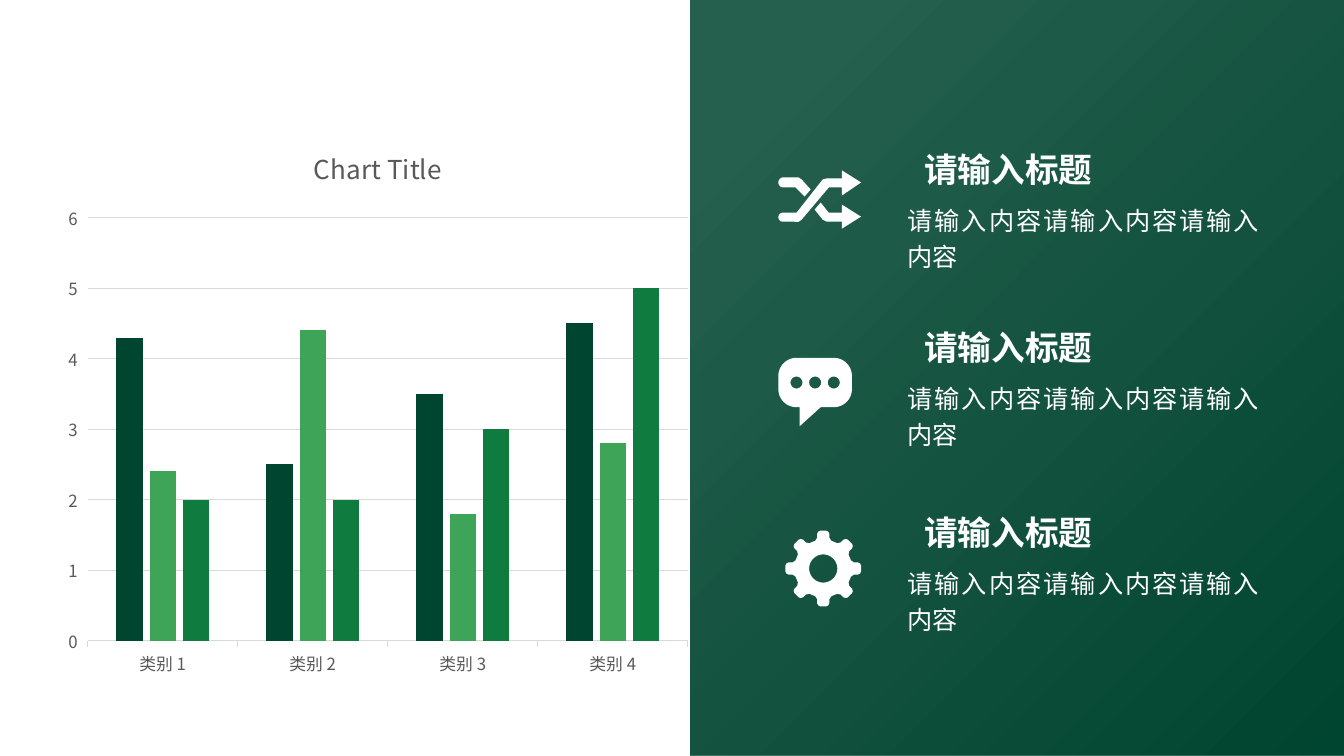
"""Build a slide with a clustered column chart beside a green panel of three points."""
from math import cos, radians, sin

from lxml.etree import SubElement
from pptx import Presentation
from pptx.chart.data import CategoryChartData
from pptx.dml.color import RGBColor
from pptx.enum.chart import XL_CHART_TYPE, XL_TICK_MARK
from pptx.enum.shapes import MSO_SHAPE
from pptx.enum.text import MSO_AUTO_SIZE, PP_ALIGN
from pptx.oxml import parse_xml
from pptx.oxml.ns import nsdecls, qn
from pptx.util import Inches, Pt

COLORS = {"dark": "004530", "light": "3EA558", "mid": "0F7B3F",
          "white": "FFFFFF", "label": "595959", "grid": "D9D9D9"}
CHART_FONT, TEXT_FONT = "Noto Sans CJK SC", "Arial"
CHART_TITLE = "Chart Title"
CATEGORIES = ["类别 1", "类别 2", "类别 3", "类别 4"]
SERIES = [("Series 1", (4.3, 2.5, 3.5, 4.5), "dark"),
          ("Series 2", (2.4, 4.4, 1.8, 2.8), "light"),
          ("Series 3", (2, 2, 3, 5), "mid")]
HEADING = "请输入标题"
BODY = "请输入内容请输入内容请输入内容"
POINTS = [(1.43, HEADING, BODY), (3.19, HEADING, BODY), (5.03, HEADING, BODY)]

WIDTH, HEIGHT = 13.33, 7.5
PANEL_LEFT = 6.85
CHART_BOX = (0.55, 1.24, 6.4, 5.58)
PLOT_SHARES = {"x": 0.05, "y": 0.165, "w": 0.93, "h": 0.752}
HEADING_LEFT, HEADING_WIDTH, HEADING_HEIGHT = 9.06, 1.88, 0.5
BODY_LEFT, BODY_WIDTH, BODY_HEIGHT = 8.9, 3.69, 0.83

GEAR_CENTER, GEAR_TEETH, GEAR_HOLE = (8.165, 5.64), 8, 0.14
TOOTH = [(0.275, 0.08), (0.305, 0.06), (0.345, 0.06), (0.365, 0.05), (0.375, 0.03)]
BUBBLE = (7.72, 3.55, 8.45, 4.04)
BUBBLE_RADIUS, DOT_RADIUS, DOT_GAP = 0.18, 0.06, 0.185


def color(name):
    return RGBColor.from_string(COLORS[name])


def arc(center, radius, start, end, steps=16):
    angles = [radians(start + (end - start) * i / steps) for i in range(steps + 1)]
    return [(center[0] + radius * cos(a), center[1] + radius * sin(a)) for a in angles]


def gear_outline():
    profile = [(x, -y) for x, y in TOOTH] + TOOTH[::-1]
    outline = []
    for tooth in range(GEAR_TEETH):
        turn = radians(360 / GEAR_TEETH * tooth)
        outline += [(GEAR_CENTER[0] + x * cos(turn) - y * sin(turn),
                     GEAR_CENTER[1] + x * sin(turn) + y * cos(turn)) for x, y in profile]
    return [outline, arc(GEAR_CENTER, GEAR_HOLE, 360, 0, 32)]


def bubble_outline():
    left, top, right, bottom = BUBBLE
    r = BUBBLE_RADIUS
    outline = (arc((left + r, top + r), r, 180, 270) + arc((right - r, top + r), r, 270, 360)
               + arc((right - r, bottom - r), r, 0, 90)
               + [(8.14, bottom), (7.93, 4.23), (7.93, bottom)]
               + arc((left + r, bottom - r), r, 90, 180))
    middle = (left + right) / 2
    dots = [arc((middle + step * DOT_GAP, 3.795), DOT_RADIUS, 360, 0) for step in (-1, 0, 1)]
    return [outline] + dots


def shuffle_outlines():
    lower_arrow = [(8.54, 2.15), (8.35, 2.03), (8.35, 2.11), (8.22, 2.11), (8.14, 2.01),
                   (8.08, 2.08), (8.16, 2.18), (8.2, 2.2), (8.35, 2.2), (8.35, 2.27)]
    upper_tail = [(7.95, 1.78), (7.92, 1.76)] + arc((7.77, 1.81), 0.05, 270, 90)
    upper_tail += [(7.89, 1.86), (7.98, 1.95), (8.04, 1.88)]
    crossing = [(8.54, 1.81), (8.35, 1.69), (8.35, 1.77), (8.2, 1.77), (8.16, 1.78),
                (7.9, 2.11)] + arc((7.765, 2.155), 0.045, 270, 90)
    crossing += [(7.92, 2.2), (7.95, 2.18), (8.22, 1.86), (8.35, 1.86), (8.35, 1.94)]
    return [lower_arrow, upper_tail, crossing]


def add_icon(shapes, contours):
    contours = [[(Inches(x), Inches(y)) for x, y in contour] for contour in contours]
    builder = shapes.build_freeform(*contours[0][0])
    for index, contour in enumerate(contours):
        if index:
            builder.move_to(*contour[0])
        builder.add_line_segments(contour[1:], close=True)
    icon = builder.convert_to_shape()
    icon.shadow.inherit = False
    icon.fill.solid()
    icon.fill.fore_color.rgb = color("white")
    icon.line.fill.background()


def add_panel(slide):
    panel = slide.shapes.add_shape(MSO_SHAPE.RECTANGLE, Inches(PANEL_LEFT), 0,
                                   Inches(WIDTH - PANEL_LEFT), Inches(HEIGHT))
    panel.shadow.inherit = False
    panel.line.fill.background()
    panel.fill.gradient()
    panel.fill.gradient_angle = 135
    for stop, position in zip(panel.fill.gradient_stops, (0, 0.86)):
        stop.color.rgb = color("dark")
        stop.position = position
    last_color = list(panel.element.iter(qn("a:srgbClr")))[-1]
    SubElement(last_color, qn("a:alpha"), val="85000")


def add_text(slide, bounds, text, size, align, bold=False, wrap=True, spacing=None):
    box = slide.shapes.add_textbox(*map(Inches, bounds))
    frame = box.text_frame
    frame.text = text
    frame.word_wrap = wrap
    frame.auto_size = MSO_AUTO_SIZE.SHAPE_TO_FIT_TEXT
    para = frame.paragraphs[0]
    para.alignment = align
    para.line_spacing = spacing
    font = para.runs[0].font
    font.name, font.size, font.bold = TEXT_FONT, Pt(size), bold
    font.color.rgb = color("white")


def style_font(font, size):
    font.name, font.size, font.bold = CHART_FONT, Pt(size), False
    font.color.rgb = color("label")


def add_columns(slide):
    data = CategoryChartData()
    data.categories = CATEGORIES
    for name, values, _ in SERIES:
        data.add_series(name, values)
    chart = slide.shapes.add_chart(XL_CHART_TYPE.COLUMN_CLUSTERED,
                                   *map(Inches, CHART_BOX), data).chart
    style_font(chart.font, 10)
    chart.has_legend = False
    chart.has_title = True
    chart.chart_title.text_frame.text = CHART_TITLE
    style_font(chart.chart_title.text_frame.paragraphs[0].runs[0].font, 18.6)
    chart.chart_title.include_in_layout = False
    plot = chart.plots[0]
    plot.gap_width, plot.overlap, plot.vary_by_categories = 219, -27, False
    for series, (_, _, shade) in zip(plot.series, SERIES):
        series.format.fill.solid()
        series.format.fill.fore_color.rgb = color(shade)
    for axis in (chart.category_axis, chart.value_axis):
        style_font(axis.tick_labels.font, 12)
        axis.major_tick_mark = XL_TICK_MARK.OUTSIDE
    chart.value_axis.minimum_scale, chart.value_axis.maximum_scale = 0, 6
    chart.value_axis.major_unit = 1
    chart.value_axis.format.line.fill.background()
    for line in (chart.category_axis.format.line, chart.value_axis.major_gridlines.format.line):
        line.color.rgb = color("grid")
        line.width = Pt(0.75)
    area = plot._element.getparent()
    for old_layout in area.findall(qn("c:layout")):
        area.remove(old_layout)
    shares = "".join(f'<c:{key} val="{share}"/>' for key, share in PLOT_SHARES.items())
    area.insert(0, parse_xml(
        f'<c:layout {nsdecls("c")}><c:manualLayout><c:layoutTarget val="inner"/>'
        f'<c:xMode val="edge"/><c:yMode val="edge"/>{shares}</c:manualLayout></c:layout>'))


def main():
    deck = Presentation()
    deck.slide_width, deck.slide_height = Inches(WIDTH), Inches(HEIGHT)
    slide = deck.slides.add_slide(deck.slide_layouts[6])
    add_panel(slide)
    for top, heading, body in POINTS:
        add_text(slide, (BODY_LEFT, top + HEADING_HEIGHT, BODY_WIDTH, BODY_HEIGHT),
                 body, 18, PP_ALIGN.JUSTIFY, spacing=1.2)
        add_text(slide, (HEADING_LEFT, top, HEADING_WIDTH, HEADING_HEIGHT),
                 heading, 24, PP_ALIGN.CENTER, bold=True, wrap=False)
    add_icon(slide.shapes, bubble_outline())
    add_icon(slide.shapes, gear_outline())
    shuffle = slide.shapes.add_group_shape()
    for outline in shuffle_outlines():
        add_icon(shuffle.shapes, [outline])
    add_columns(slide)
    deck.save("out.pptx")


if __name__ == "__main__":
    main()
